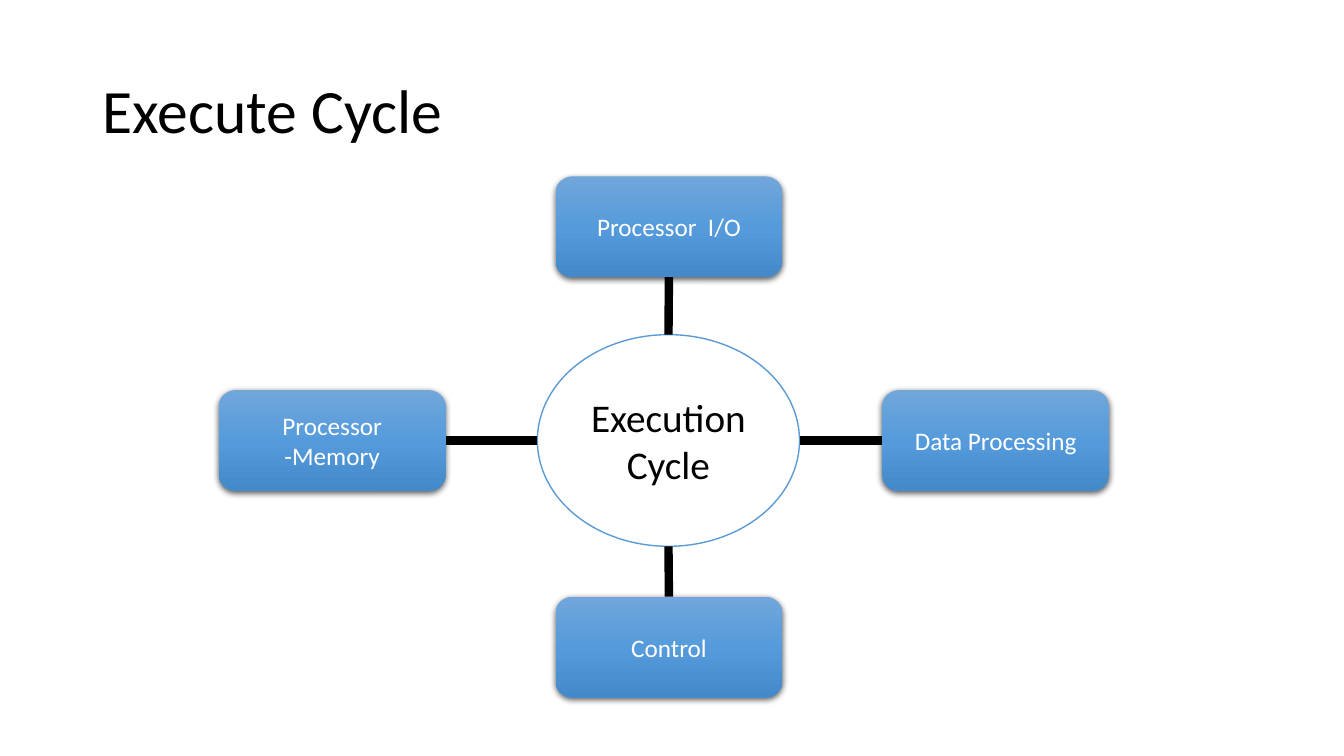
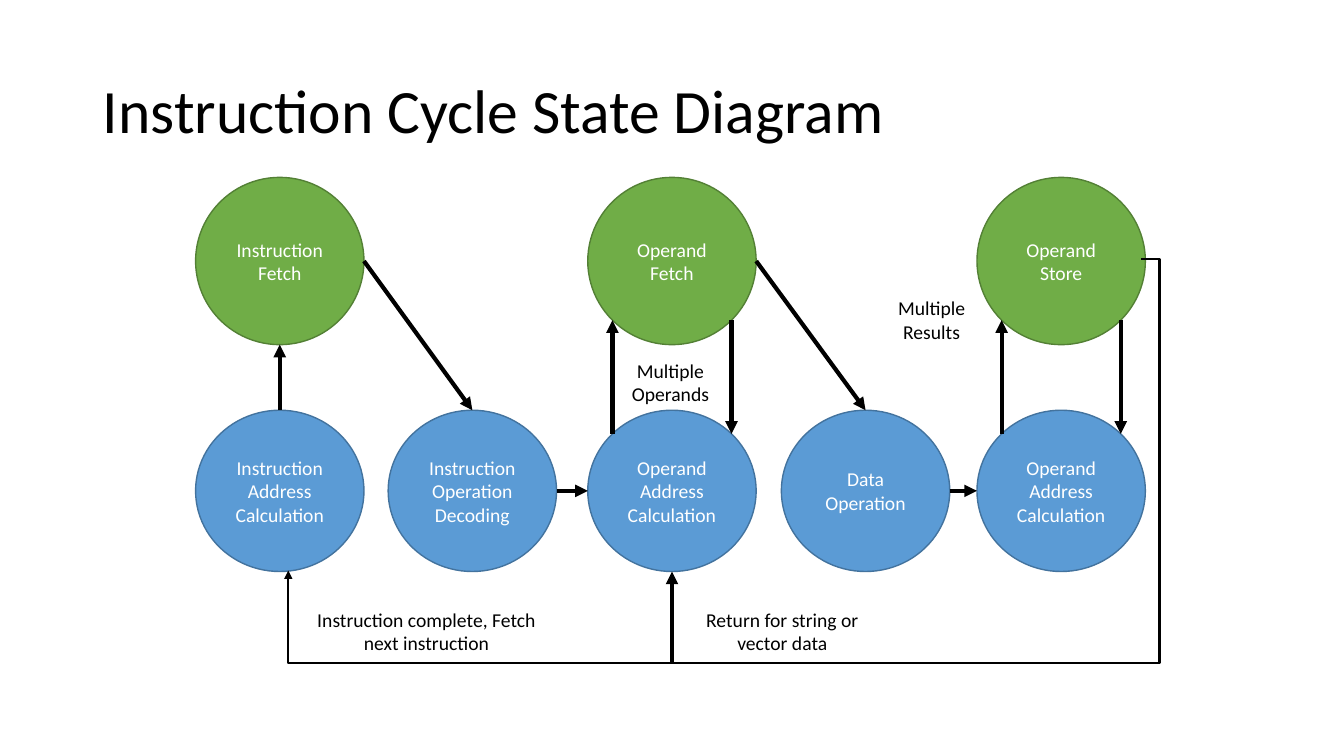
from copy import deepcopy
from math import sqrt

from lxml.etree import SubElement
from pptx import Presentation
from pptx.dml.color import RGBColor
from pptx.enum.shapes import MSO_CONNECTOR, MSO_SHAPE
from pptx.enum.text import MSO_ANCHOR, MSO_AUTO_SIZE, PP_ALIGN
from pptx.oxml.ns import qn
from pptx.util import Inches, Pt

# Shared look
FONT = "Calibri"
BLACK, WHITE = "000000", "FFFFFF"
BLUE, DARK_BLUE = "5B9BD5", "43739E"
GREEN, DARK_GREEN = "70AD47", "538035"
BOX_GRADIENT = [(0, "71A6DB"), (0.5, "559BDB"), (1, "448ACA")]
TITLE_AREA = (0.92, 0.4, 11.5, 1.45)

# Execute cycle: text, left, top, side facing the hub
HUB = ("Execution Cycle", 5.33, 3.32, 2.6, 2.1)
BOX_WIDTH, BOX_HEIGHT = 2.25, 1
TOP, LEFT, BOTTOM, RIGHT = range(4)
BOXES = [
    ("Processor  I/O", 5.51, 1.75, BOTTOM),
    ("Processor\v-Memory", 2.17, 3.87, RIGHT),
    ("Control", 5.51, 5.92, TOP),
    ("Data Processing", 8.75, 3.87, LEFT),
]

# State diagram: one column per step, memory accesses above
COLUMNS = [1.94, 3.85, 5.83, 7.75, 9.69]
STEPS = [
    "Instruction Address Calculation",
    "Instruction Operation Decoding",
    "Operand Address Calculation",
    "Data Operation",
    "Operand Address Calculation",
]
ACCESSES = {0: "Instruction Fetch", 2: "Operand Fetch", 4: "Operand Store"}
STATE_WIDTH = 1.67
ACCESS_TOP, ACCESS_HEIGHT = 1.76, 1.66
STEP_TOP, STEP_HEIGHT = 4.07, 1.6
LABELS = [
    ("Multiple Operands", 6, 3.51, 1.3),
    ("Multiple Results", 8.59, 2.89, 1.3),
    ("Return for string or vector data", 6.76, 5.98, 2),
    ("Instruction complete, Fetch next instruction", 2.94, 5.98, 2.58),
]
LABEL_HEIGHT = 0.57
RETURN_LOOP = [(11.32, 2.57), (11.5, 2.57), (11.5, 6.58), (2.86, 6.58), (2.86, 5.66)]


def color(value):
    return RGBColor.from_string(value)


def apply(target, values):
    for name, value in values.items():
        setattr(target, name, value)


def write(frame, text, size, text_color, align=PP_ALIGN.CENTER, **para_format):
    frame.word_wrap = True
    para = frame.paragraphs[0]
    para.text = text
    apply(para, {"alignment": align, **para_format})
    for span in para.runs:
        apply(span.font, {"name": FONT, "size": Pt(size)})
        span.font.color.rgb = color(text_color)


def set_line(shape, width, line_color=BLACK, arrow=False):
    shape.line.color.rgb = color(line_color)
    shape.line.width = Pt(width)
    if arrow:
        SubElement(shape.element.spPr.find(qn("a:ln")), qn("a:tailEnd"), type="triangle")


def add_page(deck, title):
    page = deck.slides.add_slide(deck.slide_layouts[5])
    heading = page.shapes.title
    apply(heading, dict(zip(("left", "top", "width", "height"), map(Inches, TITLE_AREA))))
    apply(heading.text_frame, {"auto_size": MSO_AUTO_SIZE.NONE,
                               "vertical_anchor": MSO_ANCHOR.MIDDLE})
    write(heading.text_frame, title, 44, BLACK, PP_ALIGN.LEFT, line_spacing=0.9)
    return page


def add_shape(page, kind, area, text, size, text_color):
    shape = page.shapes.add_shape(kind, *map(Inches, area))
    shape.shadow.inherit = False
    write(shape.text_frame, text, size, text_color)
    return shape


def add_round(page, kind, area, text, size, text_color, fill, outline):
    shape = add_shape(page, kind, area, text, size, text_color)
    shape.fill.solid()
    shape.fill.fore_color.rgb = color(fill)
    set_line(shape, 1, outline)
    return shape


def add_line(shapes, start, end, width, arrow=False):
    line = shapes.add_connector(MSO_CONNECTOR.STRAIGHT, *map(Inches, (*start, *end)))
    set_line(line, width, arrow=arrow)
    SubElement(line.element.spPr, qn("a:effectLst"))
    return line


def add_glossy_box(page, text, left, top):
    box = add_shape(page, MSO_SHAPE.ROUNDED_RECTANGLE,
                    (left, top, BOX_WIDTH, BOX_HEIGHT), text, 18, WHITE)
    box.line.fill.background()
    # Three-stop gradient running downwards
    box.fill.gradient()
    box.fill.gradient_angle = 270
    properties = box.element.spPr
    stops = properties.find(qn("a:gradFill")).find(qn("a:gsLst"))
    stops.append(deepcopy(stops[-1]))
    for stop, (position, stop_color) in zip(box.fill.gradient_stops, BOX_GRADIENT):
        stop.position = position
        stop.color.rgb = color(stop_color)
    # Soft shadow below
    shadow = SubElement(properties.find(qn("a:effectLst")), qn("a:outerShdw"),
                        blurRad=str(Pt(4.5)), dist=str(Pt(1.5)), dir="5400000",
                        algn="ctr", rotWithShape="0")
    tint = SubElement(shadow, qn("a:srgbClr"), val=BLACK)
    SubElement(tint, qn("a:alpha"), val="63000")
    return box


def edge(area, across, down):
    """Point on an ellipse in the given direction from its centre."""
    left, top, width, height = area
    length = sqrt(across ** 2 + down ** 2)
    return (left + width / 2 * (1 + across / length),
            top + height / 2 * (1 + down / length))


def build_execute_cycle(deck):
    page = add_page(deck, "Execute Cycle")
    text, *area = HUB
    add_round(page, MSO_SHAPE.OVAL, area, text, 28, BLACK, WHITE, BLUE)
    directions = {BOTTOM: (0, -1), RIGHT: (-1, 0), TOP: (0, 1), LEFT: (1, 0)}
    for text, left, top, side in BOXES:
        box = add_glossy_box(page, text, left, top)
        start = edge(area, *directions[side])
        spoke = add_line(page.shapes, start, start, 6)
        spoke.end_connect(box, side)


def build_state_diagram(deck):
    page = add_page(deck, "Instruction Cycle State Diagram")
    steps = [(left, STEP_TOP, STATE_WIDTH, STEP_HEIGHT) for left in COLUMNS]
    accesses = {column: (COLUMNS[column], ACCESS_TOP, STATE_WIDTH, ACCESS_HEIGHT)
                for column in ACCESSES}

    # States
    states = [(accesses[column], text, GREEN, DARK_GREEN)
              for column, text in ACCESSES.items()]
    states += [(area, text, BLUE, DARK_BLUE) for area, text in zip(steps, STEPS)]
    for area, text, fill, outline in states:
        add_round(page, MSO_SHAPE.FLOWCHART_CONNECTOR, area, text, 14, WHITE, fill, outline)

    # Transitions
    arrows = [(edge(steps[0], 0, -1), edge(accesses[0], 0, 1))]
    for column in (0, 2):
        arrows.append((edge(accesses[column], 1, 0), edge(steps[column + 1], 0, -1)))
    for column in (1, 3):
        arrows.append((edge(steps[column], 1, 0), edge(steps[column + 1], -1, 0)))
    for column in (2, 4):
        arrows.append((edge(steps[column], -1, -1), edge(accesses[column], -1, 1)))
        arrows.append((edge(accesses[column], 1, 1), edge(steps[column], 1, -1)))
    for start, end in arrows:
        add_line(page.shapes, start, end, 3, arrow=True)

    # Labels
    for text, left, top, width in LABELS:
        label = page.shapes.add_textbox(*map(Inches, (left, top, width, LABEL_HEIGHT)))
        write(label.text_frame, text, 14, BLACK)
        label.text_frame.auto_size = MSO_AUTO_SIZE.SHAPE_TO_FIT_TEXT

    # Return paths
    group = page.shapes.add_group_shape()
    first, *rest = [(Inches(x), Inches(y)) for x, y in RETURN_LOOP]
    builder = group.shapes.build_freeform(*first)
    builder.add_line_segments(rest, close=False)
    loop = builder.convert_to_shape()
    loop.shadow.inherit = False
    loop.fill.background()
    set_line(loop, 1.5, arrow=True)
    target = edge(steps[2], 0, 1)
    add_line(group.shapes, (target[0], RETURN_LOOP[2][1]), target, 3, arrow=True)


def main():
    deck = Presentation()
    apply(deck, {"slide_width": Inches(13.33), "slide_height": Inches(7.5)})
    build_execute_cycle(deck)
    build_state_diagram(deck)
    deck.save("out.pptx")


if __name__ == "__main__":
    main()
